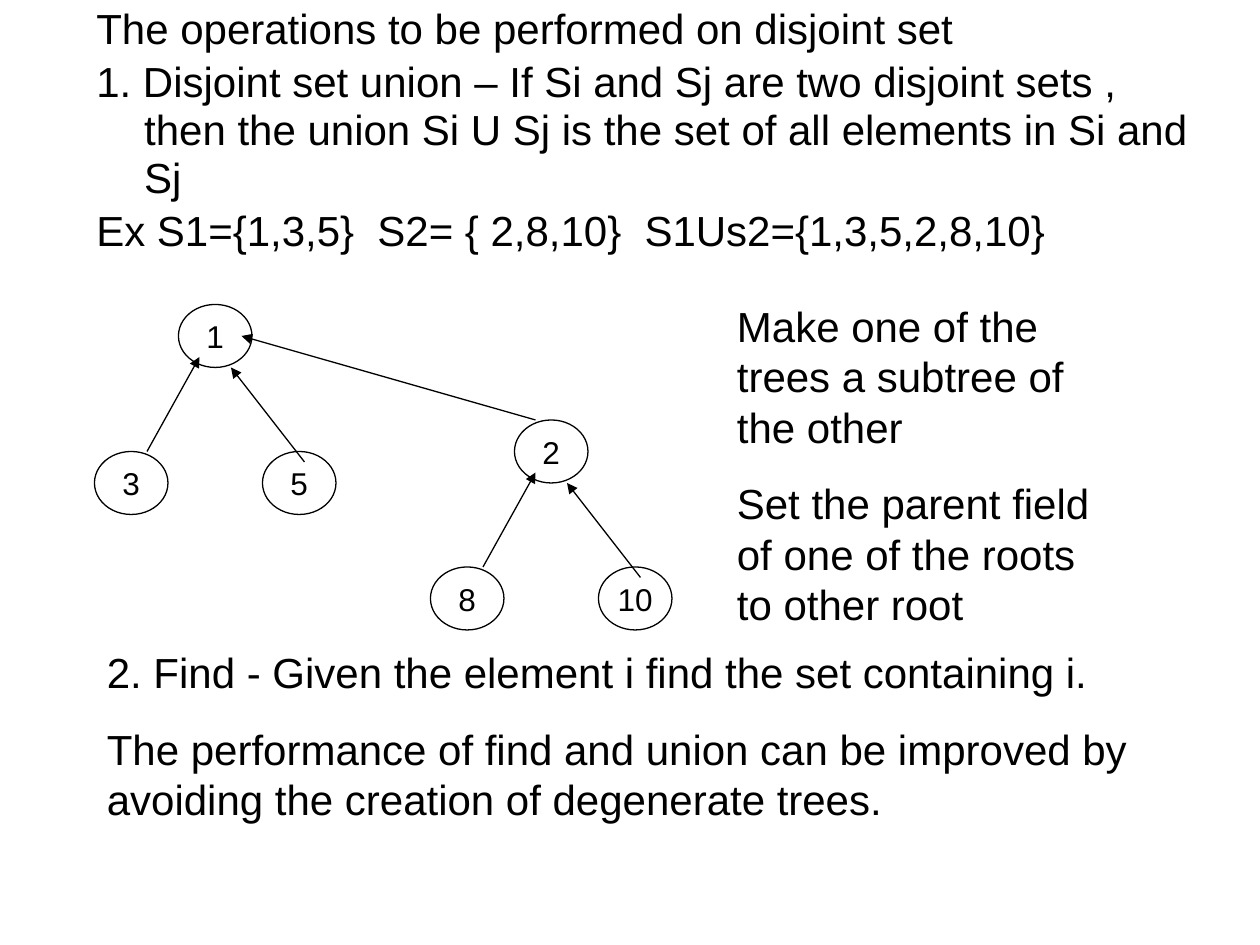
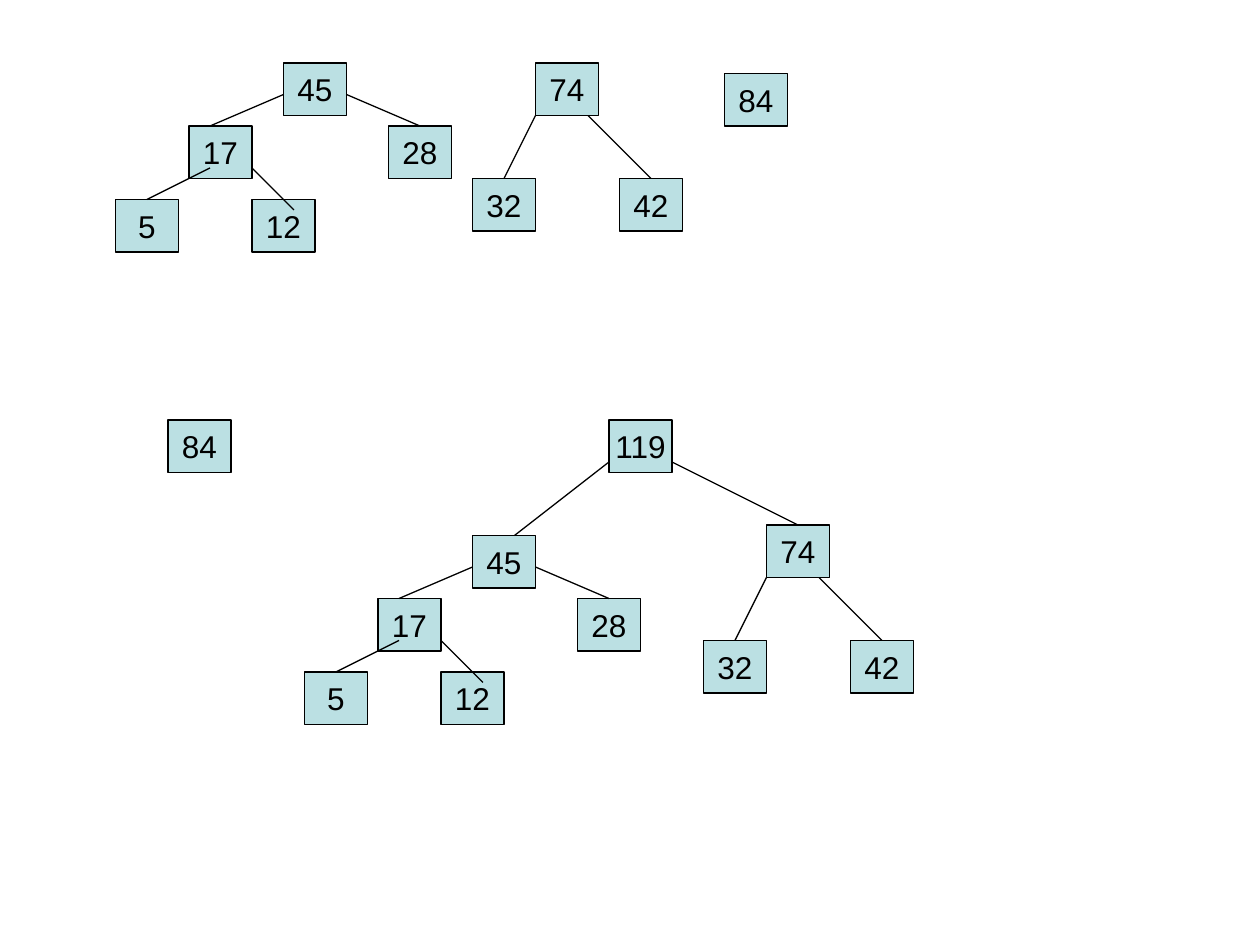
from lxml import etree
from pptx import Presentation
from pptx.dml.color import RGBColor
from pptx.enum import shapes, text
from pptx.oxml import ns
from pptx import util as u

COLORS = {"ink": "000000", "box": "BBE0E3"}
FONT = "Arial"
COLUMNS, ROWS = 120, 90
WIDTH, HEIGHT = u.Inches(10), u.Inches(7.5)

HANGING = {"space_before": u.Pt(3), "line_spacing": 0.95}
SPACED = {"space_before": u.Pt(15)}
INDENT = {"marL": u.Inches(0.38), "indent": u.Inches(-0.38)}

TEXTS = [
    ((8, 0, 107, 25), HANGING, INDENT, [
        "The operations to be performed on disjoint set",
        "1. Disjoint set union – If Si and Sj are two disjoint sets , "
        "then the union Si U Sj is the set of all elements in Si and Sj",
        "Ex S1={1,3,5}  S2= { 2,8,10}  S1Us2={1,3,5,2,8,10}",
    ]),
    ((9, 61, 102, 18), SPACED, {}, [
        "2. Find - Given the element i find the set containing i.",
        "The performance of find and union can be improved by "
        "avoiding the creation of degenerate trees.",
    ]),
    ((69, 28, 38, 32.5), SPACED, {}, [
        "Make one of the trees a subtree of the other",
        "Set the parent field of one of the roots to other root",
    ]),
]

CIRCLE = {"kind": shapes.MSO_SHAPE.OVAL, "size": (7, 6), "fill": None}
BOX = {"kind": shapes.MSO_SHAPE.RECTANGLE, "size": (6, 5), "fill": "box"}

PAIR = {
    "offsets": [(0, 0), (-8, 14), (8, 14)],
    "edges": [((-3, 14), (2, 5)), ((12, 15), (5, 6))],
}
DEEP = {
    "offsets": [(-16, 13), (-3, 13), (10, 6), (-9, 6), (0, 0)],
    "edges": [((-13, 13), (-7, 10)), ((1, 14), (-3, 10)),
              ((-7, 6), (0, 3)), ((13, 6), (6, 3))],
}
FORK = {
    "offsets": [(-6, 11), (8, 11), (0, 0)],
    "edges": [((-3, 11), (0, 5)), ((11, 11), (5, 5))],
}
SINGLE = {"offsets": [(0, 0)], "edges": []}
DEEP_VALUES = ["5", "12", "28", "17", "45"]
FORK_VALUES = ["32", "42", "74"]

UNION_FOREST = {
    "trees": [(PAIR, (17, 29), ["1", "3", "5"]), (PAIR, (49, 40), ["2", "8", "10"])],
    "links": [((51, 40), (23, 32))],
}
BEFORE_MERGE = {
    "trees": [(DEEP, (27, 6), DEEP_VALUES), (FORK, (51, 6), FORK_VALUES),
              (SINGLE, (69, 7), ["84"])],
    "links": [],
}
AFTER_MERGE = {
    "trees": [(SINGLE, (16, 40), ["84"]), (DEEP, (45, 51), DEEP_VALUES),
              (FORK, (73, 50), FORK_VALUES), (SINGLE, (58, 40), ["119"])],
    "links": [((49, 51), (58, 44)), ((76, 50), (64, 44))],
}


def place(*lengths):
    steps = (WIDTH / COLUMNS, HEIGHT / ROWS)
    return [round(length * steps[i % 2]) for i, length in enumerate(lengths)]


def shift(origin, offset):
    return origin[0] + offset[0], origin[1] + offset[1]


def apply(target, values):
    for name, value in values.items():
        setattr(target, name, value)


def style_font(paragraph, size):
    apply(paragraph.font, {"name": FONT, "size": u.Pt(size)})
    paragraph.font.color.rgb = RGBColor.from_string(COLORS["ink"])


def style_line(line):
    line.width = u.Pt(0.75)
    line.color.rgb = RGBColor.from_string(COLORS["ink"])


def add_text(slide, area, spacing, indent, lines):
    frame = slide.shapes.add_textbox(*place(*area)).text_frame
    apply(frame, {"word_wrap": True, "auto_size": text.MSO_AUTO_SIZE.SHAPE_TO_FIT_TEXT})
    for i, line in enumerate(lines):
        paragraph = frame.paragraphs[0] if i == 0 else frame.add_paragraph()
        paragraph.text = line
        apply(paragraph, spacing)
        if i == 0:
            paragraph.space_before = u.Pt(0)
        for name, value in indent.items():
            paragraph._p.get_or_add_pPr().set(name, str(value))
        style_font(paragraph, 24)


def add_node(group, style, corner, value):
    shape = group.shapes.add_shape(style["kind"], *place(*corner, *style["size"]))
    shape.shadow.inherit = False
    if style["fill"]:
        shape.fill.solid()
        shape.fill.fore_color.rgb = RGBColor.from_string(COLORS[style["fill"]])
    else:
        shape.fill.background()
    style_line(shape.line)
    frame = shape.text_frame
    apply(frame, {"word_wrap": False, "vertical_anchor": text.MSO_ANCHOR.MIDDLE})
    paragraph = frame.paragraphs[0]
    apply(paragraph, {"text": value, "alignment": text.PP_ALIGN.CENTER})
    style_font(paragraph, 18)
    return shape


def add_edge(group, start, end, tops, arrow):
    connector = group.shapes.add_connector(
        shapes.MSO_CONNECTOR.STRAIGHT, *place(*start, *end))
    style_line(connector.line)
    if arrow:
        etree.SubElement(connector.line._get_or_add_ln(), ns.qn("a:tailEnd"), type="triangle")
    etree.SubElement(connector._element.spPr, ns.qn("a:effectLst"))
    if start in tops:
        connector.begin_connect(tops[start], 0)


def add_forest(slide, forest, style, arrow=False):
    group = slide.shapes.add_group_shape()
    tops = {}
    for tree, root, values in forest["trees"]:
        for offset, value in zip(tree["offsets"], values):
            corner = shift(root, offset)
            top = shift(corner, (style["size"][0] / 2, 0))
            tops[top] = add_node(group, style, corner, value)
        for start, end in tree["edges"]:
            add_edge(group, shift(root, start), shift(root, end), tops, arrow)
    for start, end in forest["links"]:
        add_edge(group, start, end, tops, arrow)


def main():
    presentation = Presentation()
    apply(presentation, {"slide_width": WIDTH, "slide_height": HEIGHT})
    blank = presentation.slide_layouts[6]

    union_slide = presentation.slides.add_slide(blank)
    add_forest(union_slide, UNION_FOREST, CIRCLE, arrow=True)
    for area, spacing, indent, lines in TEXTS:
        add_text(union_slide, area, spacing, indent, lines)

    merge_slide = presentation.slides.add_slide(blank)
    for forest in (BEFORE_MERGE, AFTER_MERGE):
        add_forest(merge_slide, forest, BOX)

    presentation.save("out.pptx")


if __name__ == "__main__":
    main()
